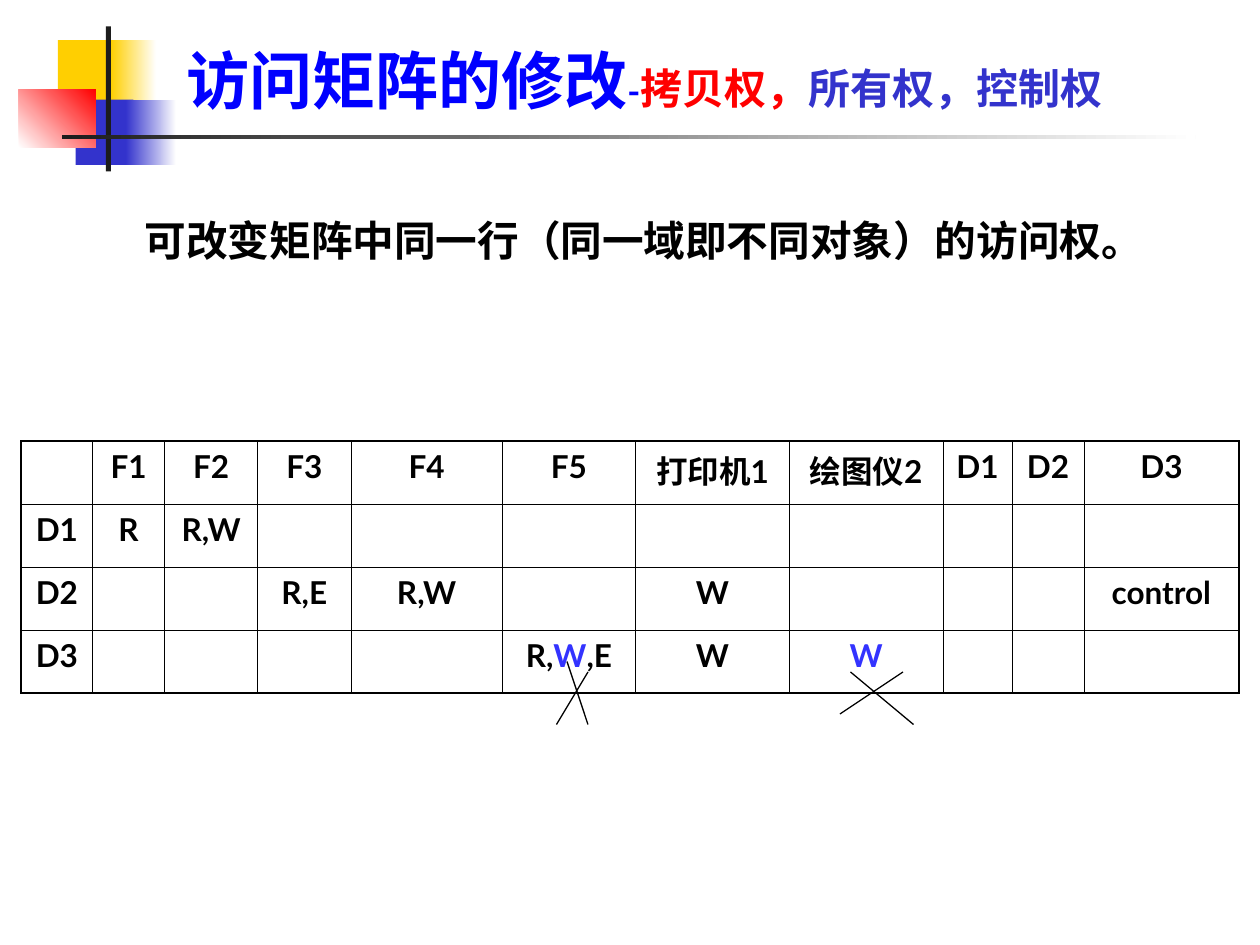
from typing import NamedTuple, Optional

from lxml.etree import SubElement
from pptx import Presentation
from pptx.dml.color import RGBColor
from pptx.enum.shapes import MSO_CONNECTOR, MSO_SHAPE
from pptx.enum.text import MSO_ANCHOR, PP_ALIGN
from pptx.oxml.ns import qn
from pptx.util import Pt

BLACK = RGBColor(0x00, 0x00, 0x00)
WHITE = RGBColor(0xFF, 0xFF, 0xFF)
CHARCOAL = RGBColor(0x1C, 0x1C, 0x1C)
YELLOW = RGBColor(0xFF, 0xCF, 0x01)
INDIGO = RGBColor(0x33, 0x33, 0xCC)
RED = RGBColor(0xFF, 0x00, 0x00)
BLUE = RGBColor(0x00, 0x00, 0xFF)
CELL_BLUE = RGBColor(0x33, 0x33, 0xFF)

LATIN_FONT = "Lato"
CHINESE_FONT = "Noto Sans CJK SC"


class Block(NamedTuple):
    left: float
    top: float
    width: float
    height: float
    color: RGBColor
    fade_to: Optional[RGBColor] = None
    angle: float = 0


class Stroke(NamedTuple):
    start_x: float
    start_y: float
    end_x: float
    end_y: float


class Run(NamedTuple):
    text: str
    size: float = 18
    color: RGBColor = BLACK


DECORATION = [
    Block(33.1, 23, 34.6, 37.4, YELLOW),
    Block(63.4, 23, 25.9, 37.4, YELLOW, WHITE),
    Block(43.2, 56.9, 33.1, 37.4, INDIGO),
    Block(72, 56.9, 28.8, 37.4, INDIGO, WHITE),
    Block(10.8, 51.1, 43.9, 33.1, WHITE, RED, 45),
    Block(60.5, 15.1, 2.9, 82.8, CHARCOAL),
    Block(35.3, 77, 648, 2.2, CHARCOAL, WHITE),
]

TITLE = [
    Run("访问矩阵的修改", 36, BLUE),
    Run("-", 20, BLUE),
    Run("拷贝权，", 24, RED),
    Run("所有权，控制权", 24, INDIGO),
]
STATEMENT = [Run("可改变矩阵中同一行（同一域即不同对象）的访问权。", 23.8)]

# Access matrix: heading row, then the filled cells of each domain
COLUMN_WIDTHS = [41, 41, 53.3, 53.3, 86.4, 76.3, 87.8, 87.8, 39.6, 41, 88.6]
ROW_HEIGHT = 36
HEADINGS = ["F1", "F2", "F3", "F4", "F5", "打印机1", "绘图仪2", "D1", "D2", "D3"]
RIGHTS = {
    "D1": {"F1": [Run("R")], "F2": [Run("R,W")]},
    "D2": {"F3": [Run("R,E")], "F4": [Run("R,W")],
           "打印机1": [Run("W")], "D3": [Run("control")]},
    "D3": {"F5": [Run("R,"), Run("W", color=CELL_BLUE), Run(",E")],
           "打印机1": [Run("W")], "绘图仪2": [Run("W", color=CELL_BLUE)]},
}

CROSSES = [
    Stroke(324, 378, 336, 414),
    Stroke(336, 384, 318, 414),
    Stroke(486, 384, 522, 414),
    Stroke(516, 384, 480, 408),
]


def write_text(text_frame, runs: list[Run], *, align=PP_ALIGN.LEFT,
               line_spacing: float = 1.0, left_margin: float = 0) -> None:
    paragraph = text_frame.paragraphs[0]
    paragraph.alignment = align
    paragraph.line_spacing = line_spacing
    if left_margin:
        paragraph._p.get_or_add_pPr().set("marL", str(Pt(left_margin)))
    for item in runs:
        run = paragraph.add_run()
        run.text = item.text
        run.font.name = LATIN_FONT
        run.font.size = Pt(item.size)
        run.font.bold = True
        run.font.color.rgb = item.color
        SubElement(run._r.get_or_add_rPr(), qn("a:ea"), typeface=CHINESE_FONT)


def add_text_box(slide, left: float, top: float, width: float, height: float,
                 runs: list[Run], anchor=MSO_ANCHOR.TOP, **text_format) -> None:
    shape = slide.shapes.add_textbox(Pt(left), Pt(top), Pt(width), Pt(height))
    shape.text_frame.word_wrap = True
    shape.text_frame.vertical_anchor = anchor
    write_text(shape.text_frame, runs, **text_format)


def add_block(slide, block: Block) -> None:
    shape = slide.shapes.add_shape(MSO_SHAPE.RECTANGLE, Pt(block.left), Pt(block.top),
                                   Pt(block.width), Pt(block.height))
    shape.shadow.inherit = False
    shape.line.fill.background()
    if block.fade_to is None:
        shape.fill.solid()
        shape.fill.fore_color.rgb = block.color
        return
    shape.fill.gradient()
    shape.fill.gradient_angle = block.angle
    for stop, color in zip(shape.fill.gradient_stops, (block.color, block.fade_to)):
        stop.color.rgb = color


def add_stroke(slide, stroke: Stroke) -> None:
    connector = slide.shapes.add_connector(MSO_CONNECTOR.STRAIGHT,
                                           *(Pt(value) for value in stroke))
    connector.line.color.rgb = BLACK
    connector.line.width = Pt(0.75)
    SubElement(connector._element.spPr, qn("a:effectLst"))


def set_borders(cell, outer_sides: dict[str, bool]) -> None:
    properties = cell._tc.get_or_add_tcPr()
    for side, is_outer in outer_sides.items():
        width = Pt(1.08 if is_outer else 0.45)
        line = SubElement(properties, qn(f"a:ln{side}"), w=str(width))
        fill = SubElement(line, qn("a:solidFill"))
        SubElement(fill, qn("a:srgbClr"), val=str(BLACK))


def add_matrix(slide, left: float, top: float) -> None:
    rows = [[[]] + [[Run(heading)] for heading in HEADINGS]]
    for domain, rights in RIGHTS.items():
        rows.append([[Run(domain)]] + [rights.get(heading, []) for heading in HEADINGS])
    last_row, last_column = len(rows) - 1, len(COLUMN_WIDTHS) - 1

    table = slide.shapes.add_table(len(rows), len(COLUMN_WIDTHS), Pt(left), Pt(top),
                                   Pt(sum(COLUMN_WIDTHS)),
                                   Pt(ROW_HEIGHT * len(rows))).table
    table.first_row = False
    table.horz_banding = False
    for column, width in zip(table.columns, COLUMN_WIDTHS):
        column.width = Pt(width)
    for row_index, row in enumerate(rows):
        table.rows[row_index].height = Pt(ROW_HEIGHT)
        for column_index, runs in enumerate(row):
            cell = table.cell(row_index, column_index)
            set_borders(cell, {"L": column_index == 0, "R": column_index == last_column,
                               "T": row_index == 0, "B": row_index == last_row})
            cell.fill.background()
            write_text(cell.text_frame, runs, align=PP_ALIGN.CENTER)


def main() -> None:
    presentation = Presentation()
    presentation.slide_width, presentation.slide_height = Pt(720), Pt(540)
    slide = presentation.slides.add_slide(presentation.slide_layouts[6])

    # Corner squares and rules
    for block in DECORATION:
        add_block(slide, block)

    # Statement and access matrix
    add_text_box(slide, 54, 116.6, 630, 48.2, STATEMENT,
                 line_spacing=1.1, left_margin=21.6)
    add_matrix(slide, 12, 252)

    # Crosses under the changed rights
    for stroke in CROSSES:
        add_stroke(slide, stroke)

    # Title
    add_text_box(slide, 99.4, 9.4, 632.2, 61.2, TITLE, anchor=MSO_ANCHOR.BOTTOM)

    presentation.save("out.pptx")


if __name__ == "__main__":
    main()
